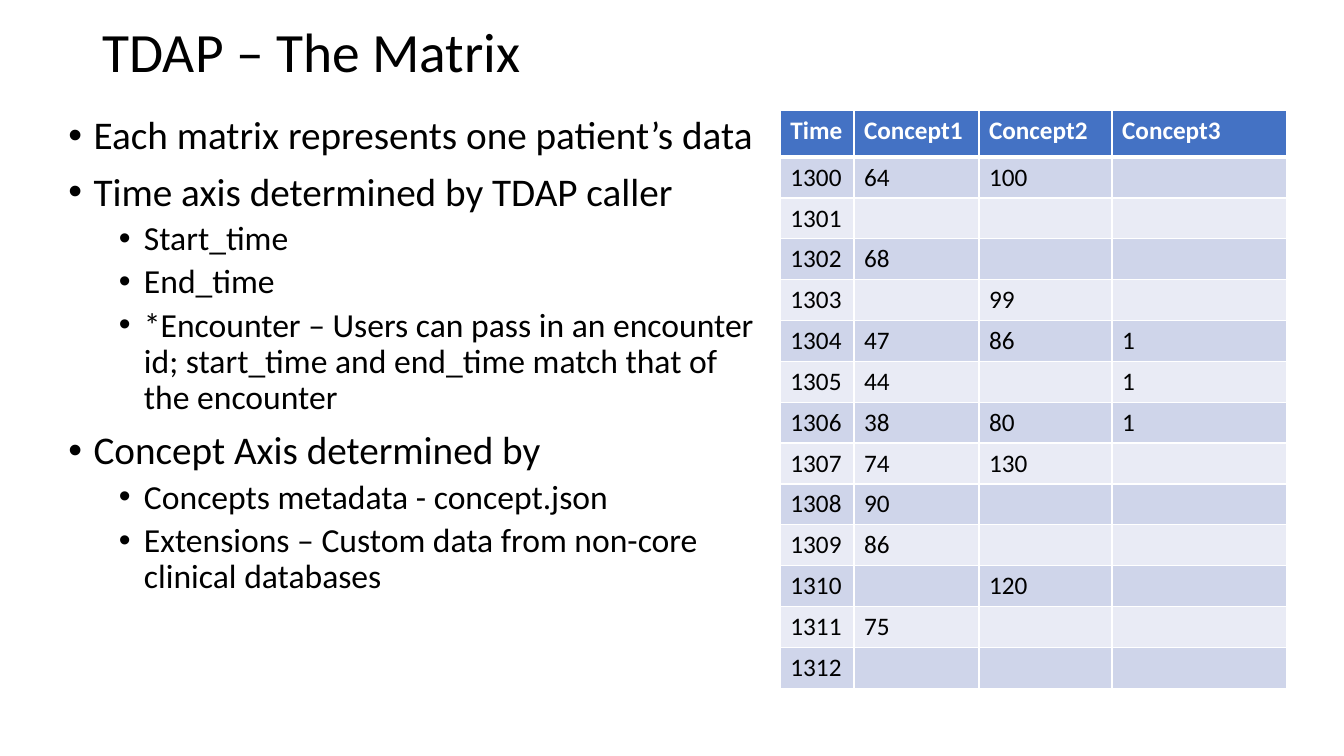
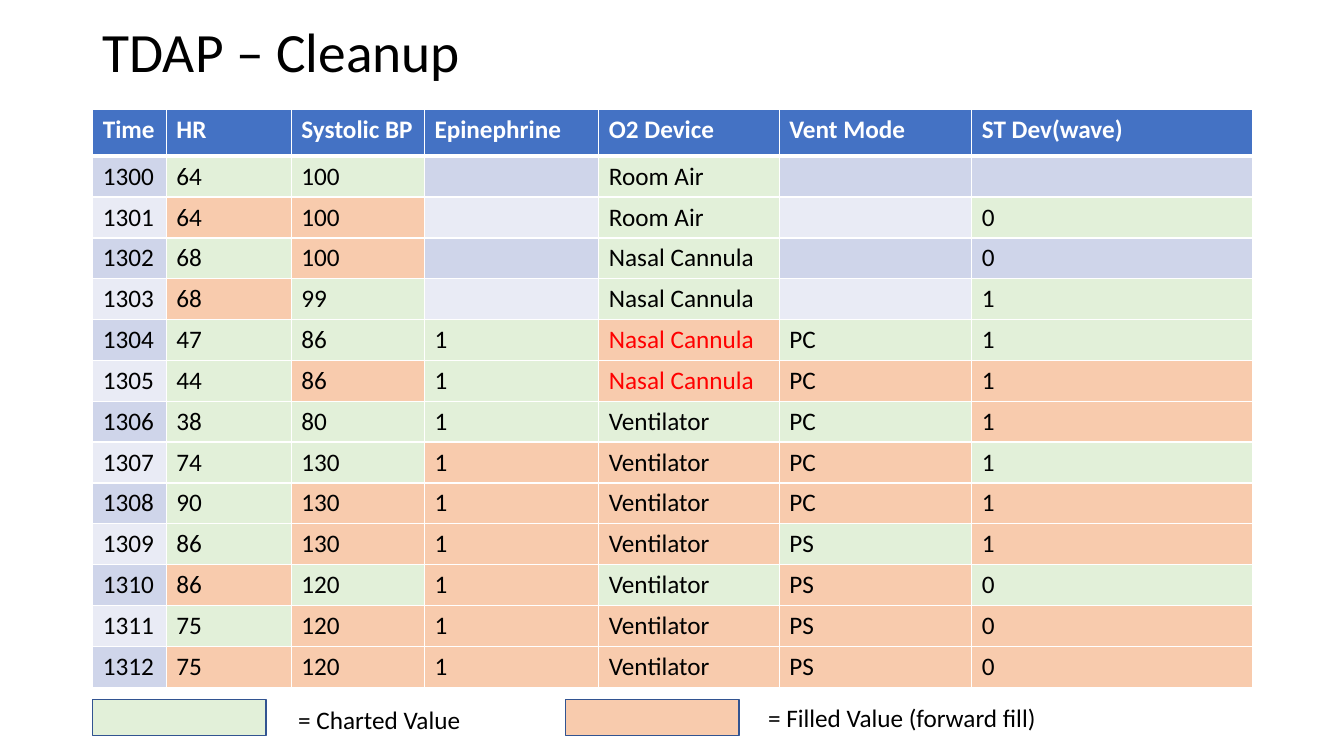
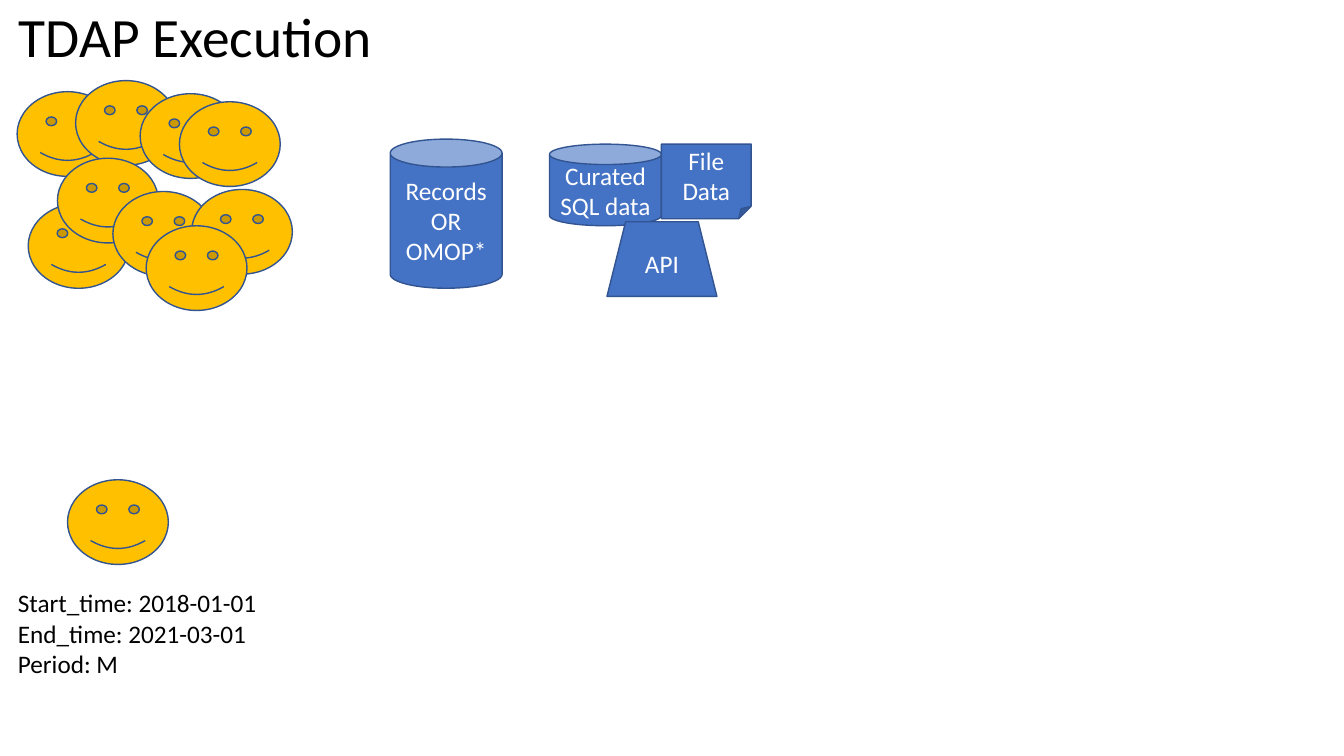
from lxml import etree
from pptx import Presentation
from pptx.dml.color import RGBColor
from pptx.enum.shapes import MSO_SHAPE
from pptx.enum.text import MSO_ANCHOR, PP_ALIGN
from pptx.oxml.ns import qn
from pptx.util import Emu, Pt

RECTANGLE = MSO_SHAPE.RECTANGLE
SMILEY = MSO_SHAPE.SMILEY_FACE
CAN = MSO_SHAPE.CAN
TRAPEZOID = MSO_SHAPE.TRAPEZOID
FOLDED_CORNER = MSO_SHAPE.FOLDED_CORNER
MIDDLE = MSO_ANCHOR.MIDDLE
TOP = MSO_ANCHOR.TOP
LEFT = PP_ALIGN.LEFT
CENTER = PP_ALIGN.CENTER

PX = 9144
FONT = "Calibri"
COLORS = {
    "text": "000000",
    "white": "FFFFFF",
    "accent": "4472C4",
    "outline": "325491",
    "band_dark": "CFD5EA",
    "band_light": "E9EBF5",
    "charted": "E2F0D9",
    "filled": "F8CBAD",
    "alert": "FF0000",
    "face": "FFC000",
}
HEADER_HEIGHT = 46
TABLE_HEIGHT = 573
FIRST_TIME = 1300

CONCEPT_COLUMNS = [("Time", 73), ("Concept1", 124), ("Concept2", 132), ("Concept3", 173)]
CONCEPT_ROWS = [
    ("64", "100", ""), ("", "", ""), ("68", "", ""), ("", "99", ""),
    ("47", "86", "1"), ("44", "", "1"), ("38", "80", "1"), ("74", "130", ""),
    ("90", "", ""), ("86", "", ""), ("", "120", ""), ("75", "", ""), ("", "", ""),
]
MATRIX_POINTS = [
    (0, "Each matrix represents one patient’s data"),
    (0, "Time axis determined by TDAP caller"),
    (1, "Start_time"),
    (1, "End_time"),
    (1, "*Encounter – Users can pass in an encounter id; start_time and end_time "
        "match that of the encounter"),
    (0, "Concept Axis determined by"),
    (1, "Concepts metadata - concept.json"),
    (1, "Extensions – Custom data from non-core clinical databases"),
]
CLEANUP_COLUMNS = [
    ("Time", 73), ("HR", 124), ("Systolic BP", 132), ("Epinephrine", 173),
    ("O2 Device", 179), ("Vent Mode", 191), ("ST Dev(wave)", 278),
]
CLEANUP_ROWS = [
    ("64", "100", "", "Room Air", "", ""),
    ("64", "100", "", "Room Air", "", "0"),
    ("68", "100", "", "Nasal Cannula", "", "0"),
    ("68", "99", "", "Nasal Cannula", "", "1"),
    ("47", "86", "1", "Nasal Cannula", "PC", "1"),
    ("44", "86", "1", "Nasal Cannula", "PC", "1"),
    ("38", "80", "1", "Ventilator", "PC", "1"),
    ("74", "130", "1", "Ventilator", "PC", "1"),
    ("90", "130", "1", "Ventilator", "PC", "1"),
    ("86", "130", "1", "Ventilator", "PS", "1"),
    ("86", "120", "1", "Ventilator", "PS", "0"),
    ("75", "120", "1", "Ventilator", "PS", "0"),
    ("75", "120", "1", "Ventilator", "PS", "0"),
]
CLEANUP_MARKS = [
    ".cc.c..", ".ff.c.c", ".cf.c..", ".fc.c.c", ".cccscc", ".cfcsff", ".cccccf",
    ".ccfffc", ".cfffff", ".cfffcf", ".fcfcfc", ".cfffff", ".ffffff",
]
MARK_STYLES = {
    "c": ("charted", "text"),
    "f": ("filled", "text"),
    "s": ("filled", "alert"),
}
LEGEND = [
    (92, "charted", 286, 694, "= Charted Value"),
    (561, "filled", 752, 692, "= Filled Value (forward fill)"),
]
FACES = [
    (17, 91), (28, 202), (75, 80), (57, 157), (112, 190),
    (190, 188), (145, 224), (139, 93), (178, 101), (67, 476),
]
SOURCES = [
    (CAN, 387, 138, 111, 148, ["Records", "OR", "OMOP*"]),
    (CAN, 545, 143, 111, 81, ["Curated SQL data"]),
    (TRAPEZOID, 602, 220, 109, 74, ["API"]),
    (FOLDED_CORNER, 656, 143, 89, 74, ["File", "Data"]),
]


class Deck:
    def __init__(self):
        self.presentation = Presentation()
        self.presentation.slide_width = self.px(1333)
        self.presentation.slide_height = self.px(750)
        self.slide = None

    def px(self, length):
        return Emu(length * PX)

    def box(self, *lengths):
        return [self.px(length) for length in lengths]

    def color(self, name):
        return RGBColor.from_string(COLORS[name])

    def new_slide(self, title, left=92, top=16, height=76):
        layout = self.presentation.slide_layouts[6]
        self.slide = self.presentation.slides.add_slide(layout)
        frame = self.text([title], left, top, 1150, height, size=39.6, anchor=MIDDLE)
        frame.paragraphs[0].line_spacing = 0.9

    def run(self, paragraph, text, size=18, color="text", bold=False):
        run = paragraph.add_run()
        run.text = text
        run.font.name = FONT
        run.font.size = Pt(size)
        run.font.bold = bold
        run.font.color.rgb = self.color(color)

    def add_lines(self, frame, lines, anchor, align, **style):
        frame.word_wrap = True
        frame.vertical_anchor = anchor
        for index, line in enumerate(lines):
            paragraph = frame.add_paragraph() if index else frame.paragraphs[0]
            paragraph.alignment = align
            self.run(paragraph, line, **style)

    def text(self, lines, left, top, width, height, size=18, anchor=TOP):
        shape = self.slide.shapes.add_textbox(*self.box(left, top, width, height))
        self.add_lines(shape.text_frame, lines, anchor, LEFT, size=size)
        return shape.text_frame

    def bullets(self, points, left, top, width, height):
        frame = self.text([], left, top, width, height)
        for index, (level, line) in enumerate(points):
            paragraph = frame.add_paragraph() if index else frame.paragraphs[0]
            paragraph.level = level
            paragraph.line_spacing = 0.9
            paragraph.space_before = Pt(5 if level else 10)
            self.run(paragraph, line, size=24 if level else 28)
            properties = paragraph._p.get_or_add_pPr()
            properties.set("marL", str(self.px(75 if level else 25)))
            properties.set("indent", str(self.px(-25)))
            etree.SubElement(properties, qn("a:buFont"), typeface="Arial")
            etree.SubElement(properties, qn("a:buChar"), char="•")

    def shape(self, kind, left, top, width, height, fill, lines=()):
        shape = self.slide.shapes.add_shape(kind, *self.box(left, top, width, height))
        shape.shadow.inherit = False
        shape.fill.solid()
        shape.fill.fore_color.rgb = self.color(fill)
        shape.line.color.rgb = self.color("outline")
        shape.line.width = Pt(1)
        self.add_lines(shape.text_frame, lines, MIDDLE, CENTER, color="white")

    def cell(self, cell, text, fill, color, bold, top, bottom):
        properties = cell._tc.get_or_add_tcPr()
        for side, width in (("L", 1), ("R", 1), ("T", top), ("B", bottom)):
            line = etree.SubElement(properties, qn(f"a:ln{side}"), w=str(Pt(width)))
            solid = etree.SubElement(line, qn("a:solidFill"))
            etree.SubElement(solid, qn("a:srgbClr"), val=COLORS["white"])
        cell.fill.solid()
        cell.fill.fore_color.rgb = self.color(fill)
        if text:
            self.run(cell.text_frame.paragraphs[0], text, color=color, bold=bold)

    def table(self, columns, rows, left, top, marks=None):
        width = sum(column_width for _, column_width in columns)
        frame = self.slide.shapes.add_table(
            len(rows) + 1, len(columns), *self.box(left, top, width, TABLE_HEIGHT))
        table = frame.table
        table.horz_banding = False
        for row in table.rows:
            row.height = Emu(self.px(TABLE_HEIGHT - HEADER_HEIGHT) // len(rows))
        table.rows[0].height = self.px(HEADER_HEIGHT)
        for index, (heading, column_width) in enumerate(columns):
            table.columns[index].width = self.px(column_width)
            self.cell(table.cell(0, index), heading, "accent", "white", True, 1, 3)
        for row_index, values in enumerate(rows):
            band = "band_light" if row_index % 2 else "band_dark"
            row_marks = marks[row_index] if marks else "." * len(columns)
            texts = (str(FIRST_TIME + row_index), *values)
            for index, (text, mark) in enumerate(zip(texts, row_marks)):
                fill, color = MARK_STYLES.get(mark, (band, "text"))
                self.cell(table.cell(row_index + 1, index), text, fill, color, False,
                          1 if row_index else 3, 1)


def build_matrix(deck):
    deck.new_slide("TDAP – The Matrix")
    deck.table(CONCEPT_COLUMNS, CONCEPT_ROWS, 774, 110)
    deck.bullets(MATRIX_POINTS, 58, 110, 706, 573)


def build_cleanup(deck):
    deck.new_slide("TDAP – Cleanup")
    deck.table(CLEANUP_COLUMNS, CLEANUP_ROWS, 92, 109, CLEANUP_MARKS)
    for swatch_left, fill, label_left, label_top, label in LEGEND:
        deck.shape(RECTANGLE, swatch_left, 694, 172, 36, fill)
        deck.text([label], label_left, label_top, 320, 40)


def build_execution(deck):
    deck.new_slide("TDAP Execution", 9, 6, 66)
    for left, top in FACES:
        deck.shape(SMILEY, left, top, 100, 84, "face")
    deck.text(["Start_time: 2018-01-01", "End_time: 2021-03-01", "Period: M"],
              8, 578, 273, 101)
    for kind, left, top, width, height, lines in SOURCES:
        deck.shape(kind, left, top, width, height, "accent", lines)


def main():
    deck = Deck()
    build_matrix(deck)
    build_cleanup(deck)
    build_execution(deck)
    deck.presentation.save("out.pptx")


if __name__ == "__main__":
    main()
